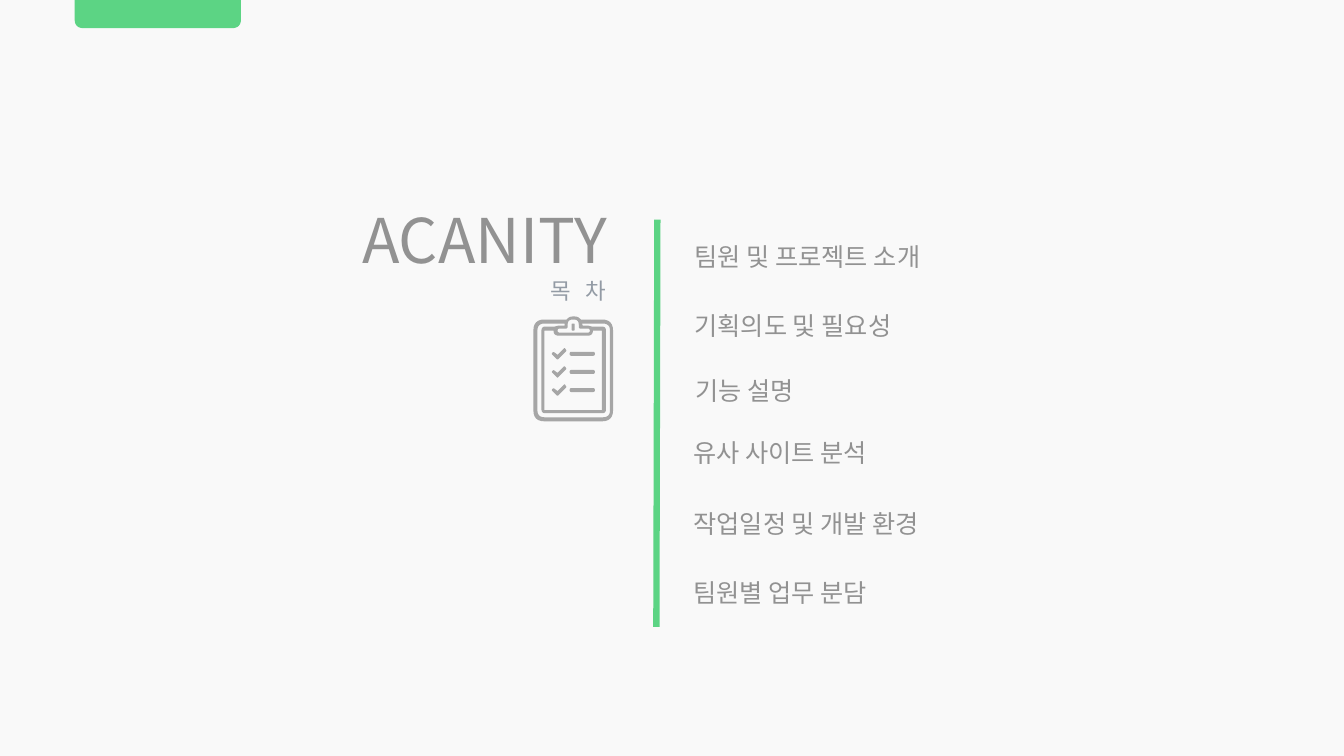
import pptx
import pptx.util
import pptx.oxml.ns
from lxml import etree
from pptx.dml.color import RGBColor
from pptx.enum.shapes import MSO_CONNECTOR
from pptx.enum.text import MSO_AUTO_SIZE, PP_ALIGN

PX = 9144  # one px is a hundredth of an inch
FONT = "Noto Sans CJK KR"
HUE = {"back": "F9F9F9", "green": "5CD484", "gray": "929292",
       "slate": "939BA5", "icon": "A6A6A6"}

# text, left, top
TOPICS = [
    ("팀원 및 프로젝트 소개", 679, 234),
    ("기획의도 및 필요성", 679, 303),
    ("기능 설명", 680, 367),
    ("유사 사이트 분석", 678, 429),
    ("작업일정 및 개발 환경", 678, 499),
    ("팀원별 업무 분담", 678, 568),
]

# Outlines: corners as x, y, radius
TAB = [(74, 0, 0), (239, 0, 0), (239, 28, 9), (74, 28, 9)]
EDGE = [(529, 317, 11), (562, 317, 0), (565, 314, 3), (573, 314, 3),
        (576, 317, 0), (608, 317, 11), (608, 418, 11), (529, 418, 11)]
CLIP = [(563, 317, 5), (574, 317, 5), (574, 326, 2), (585, 326, 2),
        (585, 330, 2), (553, 330, 2), (553, 326, 2), (563, 326, 2)]
PAPER = [(540, 328, 0), (549, 328, 0), (549, 333, 5), (588, 333, 5),
         (588, 328, 0), (597, 328, 0), (597, 407, 0), (540, 407, 0)]
RIM = [(533, 321, 7), (560, 321, 0), (560, 323, 0), (554, 323, 0),
       (550, 324, 0), (537, 324, 4), (537, 410, 4), (601, 410, 4),
       (601, 324, 4), (587, 324, 0), (583, 323, 0), (578, 323, 0),
       (577, 321, 0), (605, 321, 7), (605, 414, 7), (533, 414, 7)]
SLOT = [(567, 321, 1), (570, 321, 1), (570, 328, 1), (567, 328, 1)]
BAR = [(565, 349, 2), (590, 349, 2), (590, 353, 2), (565, 353, 2)]
CHECK = [(547, 351, 1), (549, 349, 1), (553, 352, 0),
         (560, 345, 1), (562, 348, 1), (553, 357, 1)]
ROWS, STEP = 3, 18


def color(name):
    return RGBColor.from_string(HUE[name])


def smooth(corners, steps=6):
    """Return EMU points of a closed outline with its corners rounded."""
    points = []
    for i, (x, y, r) in enumerate(corners):
        if not r:
            points.append((x, y))
            continue
        ends = []
        for a, b, _ in (corners[i - 1], corners[(i + 1) % len(corners)]):
            size = ((a - x) ** 2 + (b - y) ** 2) ** 0.5
            ends.append((x + (a - x) * r / size, y + (b - y) * r / size))
        (ax, ay), (bx, by) = ends
        for k in range(steps + 1):
            t = k / steps
            u = 1 - t
            points.append((u * u * ax + 2 * u * t * x + t * t * bx,
                           u * u * ay + 2 * u * t * y + t * t * by))
    return [(round(x * PX), round(y * PX)) for x, y in points]


def draw(shapes, fill, *outlines):
    """Fill the outlines as one shape; inner ones cut holes."""
    first, *rest = [smooth(o) for o in outlines]
    pen = shapes.build_freeform(*first[0], scale=1.0)
    pen.add_line_segments(first[1:], close=True)
    for points in rest:
        pen.move_to(*points[0])
        pen.add_line_segments(points[1:], close=True)
    shape = pen.convert_to_shape()
    shape.shadow.inherit = False
    shape.fill.solid()
    shape.fill.fore_color.rgb = color(fill)
    shape.line.fill.background()


def write(shapes, text, box, size=18, hue="gray", align=PP_ALIGN.LEFT, gap=0):
    """Add a text box; gap widens each space by that many points."""
    frame = shapes.add_textbox(*[v * PX for v in box]).text_frame
    frame.word_wrap = True
    frame.auto_size = MSO_AUTO_SIZE.SHAPE_TO_FIT_TEXT
    para = frame.paragraphs[0]
    para.alignment = align
    for part in text.partition(" ") if gap else [text]:
        run = para.add_run()
        run.text = part
        run.font.size = pptx.util.Pt(size)
        run.font.name = FONT
        run.font.color.rgb = color(hue)
        props = run.font._element
        etree.SubElement(props, pptx.oxml.ns.qn("a:ea"), typeface=FONT)
        if part == " ":
            props.set("spc", str(gap * 100))


def main():
    deck = pptx.Presentation()
    deck.slide_width, deck.slide_height = 1333 * PX, 750 * PX
    slide = deck.slides.add_slide(deck.slide_layouts[6])
    slide.background.fill.solid()
    slide.background.fill.fore_color.rgb = color("back")
    shapes = slide.shapes

    for text, left, top in TOPICS:
        write(shapes, text, (left, top, 395, 40))
    write(shapes, "ACANITY", (74, 195, 538, 84), size=44, align=PP_ALIGN.RIGHT)
    write(shapes, "목 차", (225, 270, 386, 37), size=16, hue="slate",
          align=PP_ALIGN.RIGHT, gap=7)

    rule = shapes.add_connector(MSO_CONNECTOR.STRAIGHT,
                                652 * PX, 218 * PX, 651 * PX, 622 * PX)
    rule.line.color.rgb = color("green")
    rule.line.width = pptx.util.Pt(4.5)
    etree.SubElement(rule._element.spPr, pptx.oxml.ns.qn("a:effectLst"))

    icon = shapes.add_group_shape().shapes
    draw(icon, "icon", EDGE, CLIP, PAPER, RIM)
    draw(icon, "icon", SLOT)
    for row in range(ROWS):
        for mark in (BAR, CHECK):
            draw(icon, "icon", [(x, y + row * STEP, r) for x, y, r in mark])

    draw(shapes, "green", TAB)
    deck.save("out.pptx")


if __name__ == "__main__":
    main()
